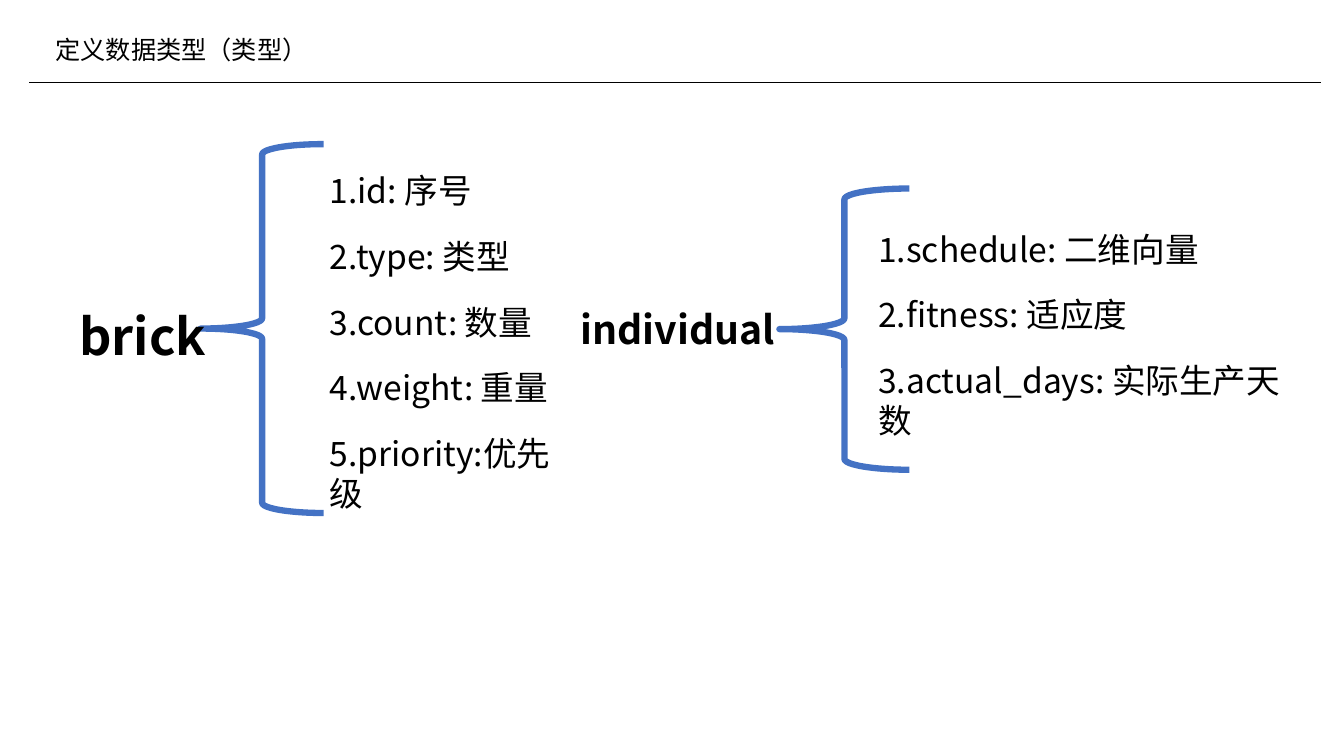
from dataclasses import dataclass

from lxml import etree
from pptx import Presentation
from pptx import util as u
from pptx.dml.color import RGBColor
from pptx.enum import shapes, text
from pptx.oxml import ns

BLACK = RGBColor(0x00, 0x00, 0x00)
BLUE = RGBColor(0x44, 0x72, 0xC4)
FACE = "Noto Sans CJK SC"
Box = tuple[float, float, float, float]


@dataclass
class Group:
    """A data type: its name, its brace and its list of fields."""
    name: str
    size: int
    label: Box
    brace: Box
    list: Box
    fields: list[str]


GROUPS = [
    Group("brick", 36, (0.69, 2.98, 1.49, 0.71), (1.99, 1.43, 1.22, 3.66),
          (3.17, 1.64, 2.67, 3.13),
          ["1.id: 序号", "2.type: 类型", "3.count: 数量", "4.weight: 重量",
           "5.priority:优先级"]),
    Group("individual", 28, (5.66, 2.98, 2.22, 0.57), (7.73, 1.87, 1.29, 2.79),
          (8.61, 2.22, 4.49, 1.82),
          ["1.schedule: 二维向量", "2.fitness: 适应度",
           "3.actual_days: 实际生产天数"]),
]


def place(shape, box: Box) -> None:
    for key, val in zip(("left", "top", "width", "height"), box):
        setattr(shape, key, u.Inches(val))


def write(shape, lines: list[str], size: int, bold: bool = False,
          gap: int = 0) -> None:
    """Fill a shape with plain, left-aligned, unbulleted paragraphs."""
    frame = shape.text_frame
    frame.text = "\n".join(lines)
    look = {"word_wrap": True, "vertical_anchor": text.MSO_ANCHOR.TOP,
            "auto_size": text.MSO_AUTO_SIZE.SHAPE_TO_FIT_TEXT}
    for key, val in look.items():
        setattr(frame, key, val)
    style = {"name": FACE, "size": u.Pt(size), "bold": bold}
    for para in frame.paragraphs:
        para.alignment = text.PP_ALIGN.LEFT
        para.space_before = u.Pt(gap)
        props = para._p.get_or_add_pPr()
        props.set("marL", "0")
        props.set("indent", "0")
        etree.SubElement(props, ns.qn("a:buNone"))
        for run in para.runs:
            for key, val in style.items():
                setattr(run.font, key, val)
            run.font.color.rgb = BLACK
            east = etree.SubElement(run.font._element, ns.qn("a:ea"))
            east.set("typeface", FACE)


def rule(slide) -> None:
    line = slide.shapes.add_connector(
        shapes.MSO_CONNECTOR.STRAIGHT,
        u.Inches(0.29), u.Inches(0.82), u.Inches(13.1), u.Inches(0.82))
    line.line.color.rgb = BLACK
    line.line.width = u.Pt(0.5)
    etree.SubElement(line._element.spPr, ns.qn("a:effectLst"))


def draw(slide, group: Group, body) -> None:
    brace = slide.shapes.add_shape(
        shapes.MSO_SHAPE.LEFT_BRACE, *map(u.Inches, group.brace))
    brace.shadow.inherit = False
    brace.fill.background()
    brace.line.color.rgb = BLUE
    brace.line.width = u.Pt(4.5)
    label = slide.shapes.add_textbox(*map(u.Inches, group.label))
    write(label, [group.name], group.size, bold=True)
    place(body, group.list)
    write(body, group.fields, 24, gap=18)


def main() -> None:
    deck = Presentation()
    deck.slide_width, deck.slide_height = u.Inches(13.33), u.Inches(7.5)
    slide = deck.slides.add_slide(deck.slide_layouts.get_by_name("Two Content"))
    title, *bodies = slide.placeholders
    place(title, (0.45, 0.29, 5.4, 0.4))
    write(title, ["定义数据类型（类型）"], 18)
    rule(slide)
    for group, body in zip(GROUPS, bodies):
        draw(slide, group, body)
    deck.save("out.pptx")


if __name__ == "__main__":
    main()
